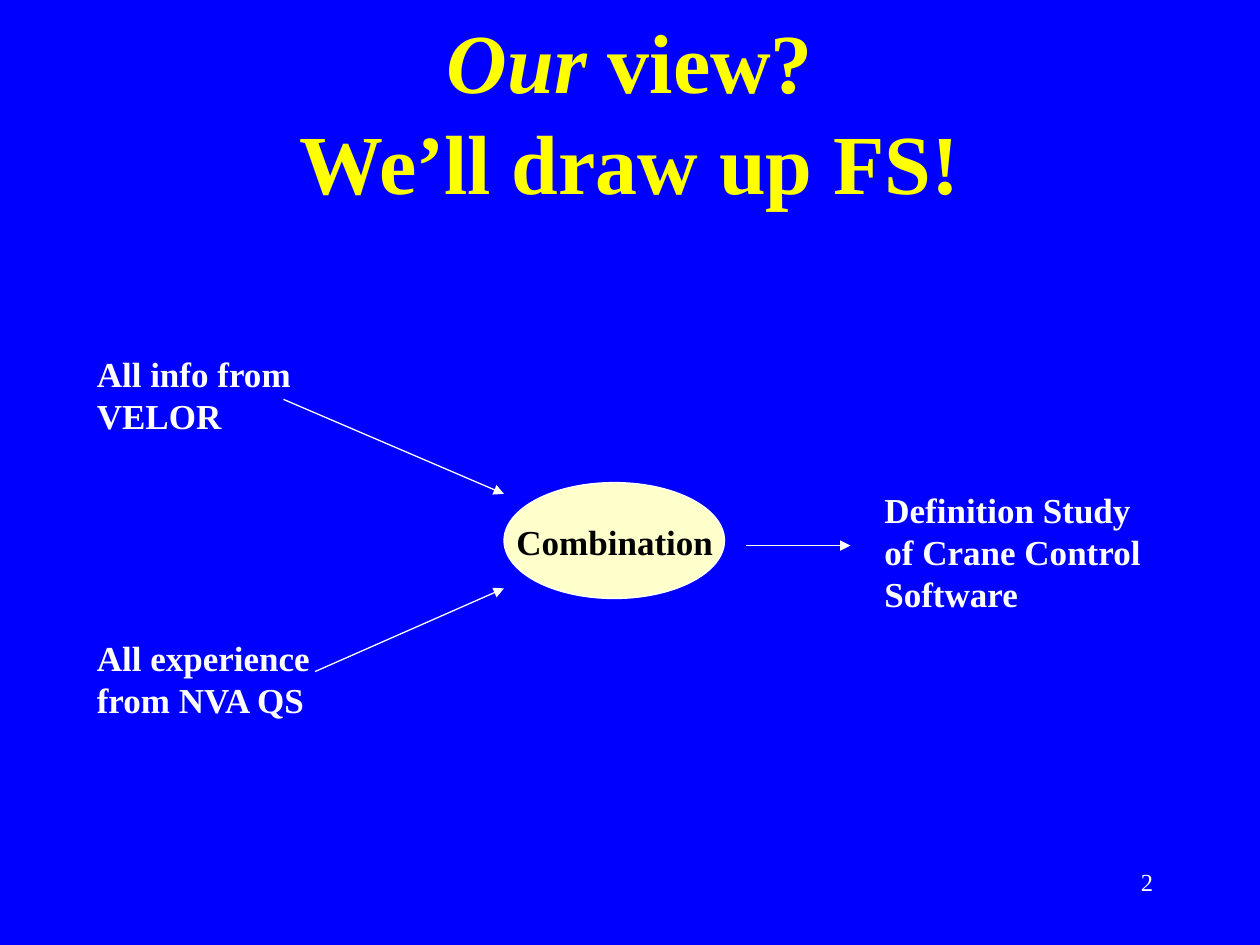
from lxml.etree import SubElement
from pptx import Presentation
from pptx.dml.color import RGBColor
from pptx.enum.shapes import MSO_CONNECTOR, MSO_SHAPE
from pptx.enum.text import MSO_ANCHOR, MSO_AUTO_SIZE, PP_ALIGN
from pptx.oxml.ns import qn
from pptx.util import Inches, Pt

COLORS = {
    "background": "0000FF",
    "title": "FFFF00",
    "light": "FFFFFF",
    "dark": "000000",
    "oval": "FFFFCC",
}


class DiagramSlide:
    """Holds the style and the current slide, and draws each kind of element."""

    font_name = "Times New Roman"
    line_width = Pt(0.75)

    def __init__(self, deck):
        self.slide = deck.slides.add_slide(deck.slide_layouts[5])
        fill = self.slide.background.fill
        fill.solid()
        fill.fore_color.rgb = self.color("background")

    def color(self, name):
        return RGBColor.from_string(COLORS[name])

    def format_font(self, font, size, color, bold=True, italic=False):
        font.name = self.font_name
        font.size = Pt(size)
        font.bold = bold
        font.italic = italic
        font.color.rgb = self.color(color)

    def format_line(self, line):
        line.color.rgb = self.color("light")
        line.width = self.line_width

    def title(self, emphasis, rest, second_line):
        box = self.slide.shapes.title
        box.left, box.top = Inches(0), Inches(0.25)
        box.width, box.height = Inches(10), Inches(1.25)
        frame = box.text_frame
        frame.auto_size = MSO_AUTO_SIZE.NONE
        frame.vertical_anchor = MSO_ANCHOR.MIDDLE
        para = frame.paragraphs[0]
        para.text = emphasis
        para.alignment = PP_ALIGN.CENTER
        self.format_font(para.font, 48, "title")
        para.add_run().text = rest
        para.add_line_break()
        para.add_run().text = second_line
        for index, span in enumerate(para.runs):
            self.format_font(span.font, 48, "title", italic=index == 0)

    def text(self, words, left, top, width, height, color="light", size=20,
             bold=True, align=PP_ALIGN.LEFT, space_before=12.5):
        box = self.slide.shapes.add_textbox(
            Inches(left), Inches(top), Inches(width), Inches(height))
        frame = box.text_frame
        frame.word_wrap = True
        frame.text = words
        para = frame.paragraphs[0]
        para.alignment = align
        para.space_before = Pt(space_before)
        self.format_font(para.runs[0].font, size, color, bold)

    def oval(self, left, top, width, height):
        shape = self.slide.shapes.add_shape(
            MSO_SHAPE.OVAL, Inches(left), Inches(top), Inches(width), Inches(height))
        shape.shadow.inherit = False
        shape.fill.solid()
        shape.fill.fore_color.rgb = self.color("oval")
        self.format_line(shape.line)

    def arrow(self, start, end):
        points = [Inches(value) for value in (*start, *end)]
        connector = self.slide.shapes.add_connector(MSO_CONNECTOR.STRAIGHT, *points)
        self.format_line(connector.line)
        SubElement(connector.line._get_or_add_ln(), qn("a:tailEnd"), type="triangle")
        SubElement(connector._element.spPr, qn("a:effectLst"))


def main():
    deck = Presentation()
    deck.slide_width, deck.slide_height = Inches(10), Inches(7.5)
    page = DiagramSlide(deck)
    page.title("Our", " view?", "We’ll draw up FS!")
    page.oval(4, 3.83, 1.75, 0.92)
    page.text("All info from VELOR", 0.67, 2.75, 1.83, 0.77)
    page.text("All experience from NVA QS", 0.67, 5, 2.42, 0.77)
    page.arrow((2.25, 3.17), (4, 3.92))
    page.arrow((2.5, 5.33), (4, 4.67))
    page.text("Definition Study of Crane Control Software", 6.92, 3.83, 2.42, 1.1)
    page.arrow((5.92, 4.33), (6.75, 4.33))
    page.text("Combination", 4, 4.08, 1.83, 0.44, color="dark")
    page.text("2", 7.17, 6.83, 2.08, 0.5, size=14, bold=False,
              align=PP_ALIGN.RIGHT, space_before=0)
    deck.save("out.pptx")


if __name__ == "__main__":
    main()
